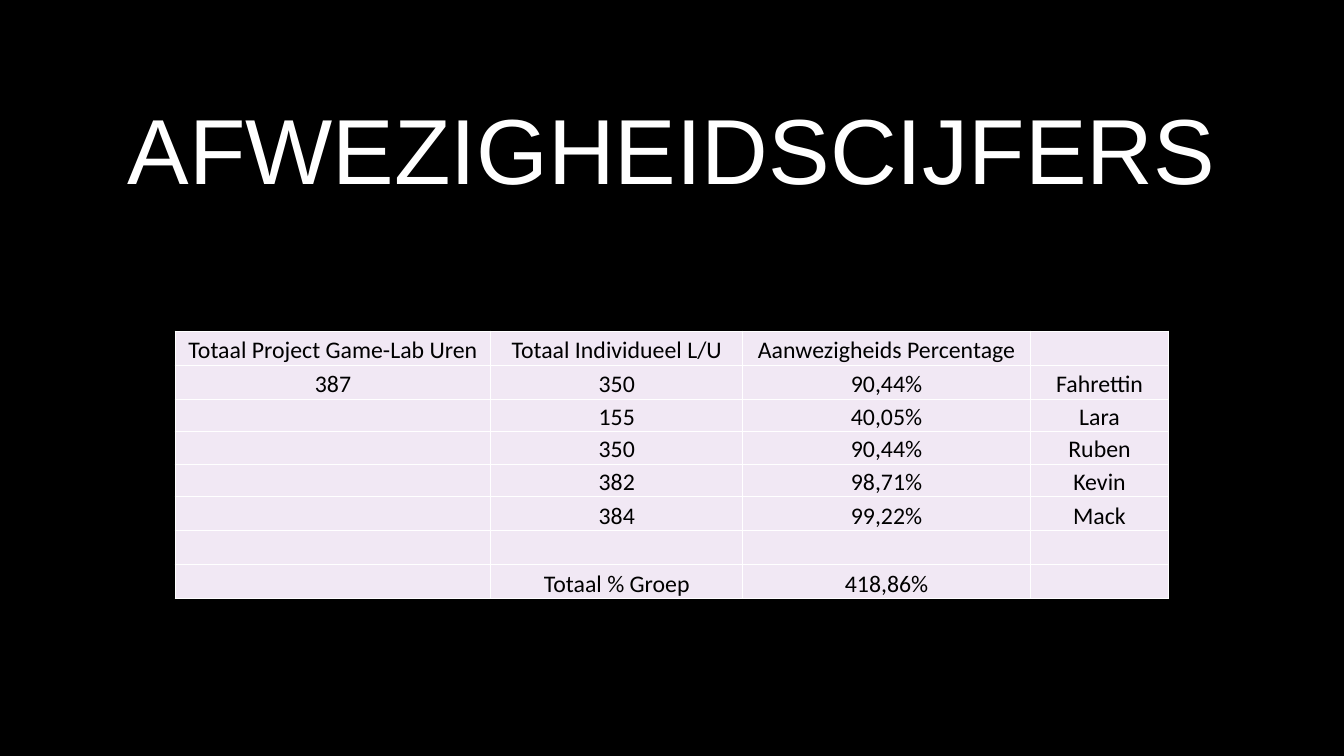
from dataclasses import dataclass

from lxml.etree import SubElement
from pptx import Presentation
from pptx.dml.color import RGBColor
from pptx.enum.text import MSO_ANCHOR as Anchor, PP_ALIGN as Align
from pptx.oxml.ns import qn
from pptx.slide import Slide
from pptx.table import _Cell as Cell
from pptx.text.text import TextFrame
from pptx.util import Pt


@dataclass(frozen=True)
class Theme:
    background: str = "000000"
    title_color: str = "FFFFFF"
    title_font: str = "Arial"
    title_size: float = 66
    cell_fill: str = "F1E8F4"
    cell_color: str = "000000"
    cell_font: str = "Calibri"
    cell_size: float = 17
    border_color: str = "FFFFFF"
    border_width: float = 1


@dataclass(frozen=True)
class Attendance:
    project_hours: str = ""
    individual_hours: str = ""
    percentage: str = ""
    student: str = ""

    def values(self) -> tuple[str, ...]:
        return self.project_hours, self.individual_hours, self.percentage, self.student


THEME = Theme()
COLUMN_WIDTHS = (225.4, 180, 205.4, 98.8)
ROW_HEIGHTS = (24.3, 24.3, 23.2, 23.2, 23.2, 24.3, 24.3, 24.3)
ATTENDANCE = (
    Attendance("Totaal Project Game-Lab Uren", "Totaal Individueel L/U", "Aanwezigheids Percentage"),
    Attendance("387", "350", "90,44%", "Fahrettin"),
    Attendance("", "155", "40,05%", "Lara"),
    Attendance("", "350", "90,44%", "Ruben"),
    Attendance("", "382", "98,71%", "Kevin"),
    Attendance("", "384", "99,22%", "Mack"),
    Attendance(),
    Attendance("", "Totaal % Groep", "418,86%"),
)


def write_centred(text_frame: TextFrame, text: str, font: str, size: float, color: str) -> None:
    text_frame.text = text
    paragraph = text_frame.paragraphs[0]
    paragraph.alignment = Align.CENTER
    for run in paragraph.runs:
        run.font.name = font
        run.font.size = Pt(size)
        run.font.color.rgb = RGBColor.from_string(color)


def add_title(slide: Slide, text: str) -> None:
    shape = slide.shapes.add_textbox(Pt(0), Pt(48.2), Pt(960), Pt(114.5))
    shape.text_frame.word_wrap = True
    shape.text_frame.vertical_anchor = Anchor.MIDDLE
    write_centred(shape.text_frame, text, THEME.title_font, THEME.title_size, THEME.title_color)


def add_borders(cell: Cell) -> None:
    properties = cell._tc.get_or_add_tcPr()
    for side in ("a:lnL", "a:lnR", "a:lnT", "a:lnB"):
        line = SubElement(properties, qn(side), w=str(Pt(THEME.border_width)))
        fill = SubElement(line, qn("a:solidFill"))
        SubElement(fill, qn("a:srgbClr"), val=THEME.border_color)


def format_cell(cell: Cell, text: str) -> None:
    if text:
        write_centred(cell.text_frame, text, THEME.cell_font, THEME.cell_size, THEME.cell_color)
    cell.vertical_anchor = Anchor.BOTTOM
    cell.margin_left = cell.margin_right = Pt(1.4)
    cell.margin_top = Pt(1)
    cell.margin_bottom = Pt(0)
    add_borders(cell)
    cell.fill.solid()
    cell.fill.fore_color.rgb = RGBColor.from_string(THEME.cell_fill)


def add_attendance_table(slide: Slide) -> None:
    table = slide.shapes.add_table(
        len(ATTENDANCE), len(COLUMN_WIDTHS), Pt(125.2), Pt(236.6),
        Pt(sum(COLUMN_WIDTHS)), Pt(sum(ROW_HEIGHTS)),
    ).table
    table.first_row = False
    table.horz_banding = False
    for column, width in zip(table.columns, COLUMN_WIDTHS):
        column.width = Pt(width)
    for row, height, attendance in zip(table.rows, ROW_HEIGHTS, ATTENDANCE):
        row.height = Pt(height)
        for cell, text in zip(row.cells, attendance.values()):
            format_cell(cell, text)


def main() -> None:
    presentation = Presentation()
    presentation.slide_width = Pt(960)
    presentation.slide_height = Pt(540)
    slide = presentation.slides.add_slide(presentation.slide_layouts[6])
    slide.background.fill.solid()
    slide.background.fill.fore_color.rgb = RGBColor.from_string(THEME.background)
    add_title(slide, "AFWEZIGHEIDSCIJFERS")
    add_attendance_table(slide)
    presentation.save("out.pptx")


if __name__ == "__main__":
    main()
